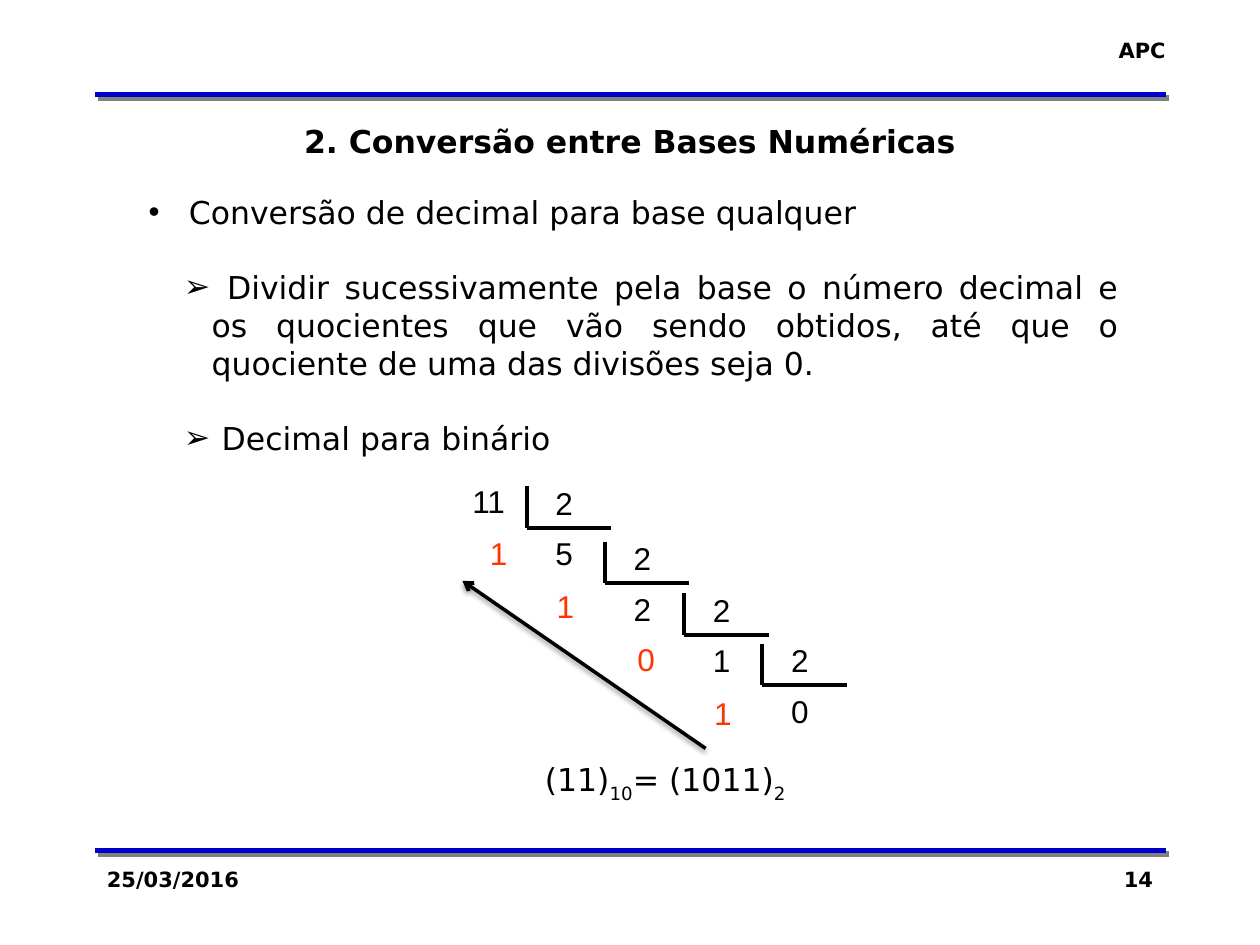
from dataclasses import dataclass
from typing import Optional

from lxml.etree import SubElement
from pptx import Presentation
from pptx.dml.color import RGBColor
from pptx.enum.shapes import MSO_CONNECTOR
from pptx.enum.text import MSO_ANCHOR, MSO_AUTO_SIZE, PP_ALIGN
from pptx.oxml.ns import qn
from pptx.util import Inches, Pt


@dataclass(frozen=True)
class Theme:
    text_font: str = "DejaVu Sans"
    number_font: str = "Arial"
    black: str = "000000"
    rule: str = "0000CC"
    rule_shadow: str = "808080"
    remainder: str = "FF3300"
    small: float = 12
    normal: float = 18


@dataclass(frozen=True)
class Shadow:
    color: str
    opacity: int
    blur: float
    distance: float
    angle: int


@dataclass(frozen=True)
class BodyItem:
    runs: tuple
    level: int
    space_before: float
    align: PP_ALIGN = PP_ALIGN.JUSTIFY
    bullet: Optional[str] = None
    margin: float = 0.5
    hanging: float = 0


@dataclass(frozen=True)
class Division:
    """One step: the bracket's corner, its quotient, and the remainder with its place."""
    x: float
    y: float
    quotient: str
    remainder: str
    remainder_x: float
    remainder_y: float


THEME = Theme()
RULE_SHADOW = Shadow(THEME.rule_shadow, 100, 0, 2.8, 45)
ARROW_SHADOW = Shadow(THEME.black, 38, 3.1, 1.6, 90)
DIVISOR = "2"
BRACKET_WIDTH, BRACKET_HEIGHT = 0.67, 0.33

BODY = (
    BodyItem(((" Conversão de decimal para base qualquer", False),), 0, 0,
             bullet="•", margin=0.24, hanging=0.24),
    BodyItem(((" Dividir sucessivamente pela base o número decimal e os quocientes que vão "
               "sendo obtidos, até que o quociente de uma das divisões seja 0.", False),), 1, 21.5,
             bullet="➢", hanging=0.22),
    BodyItem(((" Decimal para binário", False),), 1, 21.5, bullet="➢", hanging=0.22),
    BodyItem((("(11)", False), ("10", True), ("= (1011)", False), ("2", True)), 1, 173,
             align=PP_ALIGN.CENTER),
)

DIVISIONS = (
    Division(4.18, 4.19, "5", "1", 3.79, 4.19),
    Division(4.80, 4.63, "2", "1", 4.32, 4.61),
    Division(5.43, 5.04, "1", "0", 4.96, 5.03),
    Division(6.05, 5.44, "0", "1", 5.57, 5.46),
)


def add_run(paragraph, text: str, size: float, font_name: str = THEME.text_font,
            color: str = THEME.black, bold: bool = False):
    run = paragraph.add_run()
    run.text = text
    formats = {"size": Pt(size), "name": font_name, "bold": bold}
    for name, value in formats.items():
        setattr(run.font, name, value)
    run.font.color.rgb = RGBColor.from_string(color)
    return run


def place(shape, left: float, top: float, width: float, height: float) -> None:
    position = {"left": left, "top": top, "width": width, "height": height}
    for name, value in position.items():
        setattr(shape, name, Inches(value))


def format_frame(shape, wrap: bool = True):
    frame = shape.text_frame
    formats = {"word_wrap": wrap, "auto_size": MSO_AUTO_SIZE.NONE,
               "vertical_anchor": MSO_ANCHOR.TOP}
    for name, value in formats.items():
        setattr(frame, name, value)
    return frame


def add_label(slide, text: str, left: float, top: float, width: float, height: float,
              align: PP_ALIGN = PP_ALIGN.LEFT, wrap: bool = True, **font) -> None:
    box = slide.shapes.add_textbox(*map(Inches, (left, top, width, height)))
    paragraph = format_frame(box, wrap).paragraphs[0]
    paragraph.alignment = align
    add_run(paragraph, text, **font)


def add_number(slide, text: str, left: float, top: float, width: float = 0.34,
               color: str = THEME.black) -> None:
    add_label(slide, text, left, top, width, 0.4, wrap=False, size=THEME.normal,
              font_name=THEME.number_font, color=color)


def add_line(slide, start: tuple, end: tuple, color: str, width: float,
             shadow: Optional[Shadow] = None, arrow: bool = False) -> None:
    line = slide.shapes.add_connector(MSO_CONNECTOR.STRAIGHT, *map(Inches, start + end))
    line.line.color.rgb = RGBColor.from_string(color)
    line.line.width = Pt(width)
    properties = line._element.spPr
    if arrow:
        SubElement(properties.find(qn("a:ln")), qn("a:tailEnd"), type="arrow")
    effects = SubElement(properties, qn("a:effectLst"))
    if shadow:
        outer = SubElement(effects, qn("a:outerShdw"), blurRad=str(Pt(shadow.blur)),
                           dist=str(Pt(shadow.distance)), dir=str(shadow.angle * 60000),
                           algn="ctr", rotWithShape="0")
        tint = SubElement(outer, qn("a:srgbClr"), val=shadow.color)
        SubElement(tint, qn("a:alpha"), val=str(shadow.opacity * 1000))


def fill_body_paragraph(paragraph, item: BodyItem) -> None:
    formats = {"level": item.level, "alignment": item.align, "line_spacing": 1.0,
               "space_before": Pt(item.space_before), "space_after": Pt(0)}
    for name, value in formats.items():
        setattr(paragraph, name, value)
    properties = paragraph._p.get_or_add_pPr()
    properties.set("marL", str(Inches(item.margin)))
    properties.set("indent", str(Inches(-item.hanging)))
    if item.bullet:
        SubElement(properties, qn("a:buFont"), typeface=THEME.number_font)
        SubElement(properties, qn("a:buChar"), char=item.bullet)
    else:
        SubElement(properties, qn("a:buNone"))
    for text, subscript in item.runs:
        run = add_run(paragraph, text, THEME.normal)
        if subscript:
            run.font._element.set("baseline", "-30000")


def add_division(slide, step: Division) -> None:
    corner = (step.x, step.y)
    for end in ((step.x, step.y - BRACKET_HEIGHT), (step.x + BRACKET_WIDTH, step.y)):
        add_line(slide, corner, end, THEME.black, 2.25)
    add_number(slide, DIVISOR, step.x + 0.13, step.y - 0.4)
    add_number(slide, step.quotient, step.x + 0.13, step.y)
    add_number(slide, step.remainder, step.remainder_x, step.remainder_y,
               color=THEME.remainder)


def main() -> None:
    presentation = Presentation()
    presentation.slide_width, presentation.slide_height = Inches(10), Inches(7.5)
    slide = presentation.slides.add_slide(presentation.slide_layouts[1])
    title, body = slide.placeholders

    for y in (6.75, 0.75):
        add_line(slide, (0.75, y), (9.25, y), THEME.rule, 3, RULE_SHADOW)
    small_bold = {"size": THEME.small, "bold": True}
    add_label(slide, "APC", 8.77, 0.25, 0.58, 0.3, PP_ALIGN.RIGHT, False, **small_bold)
    add_label(slide, "25/03/2016", 0.75, 6.83, 2.08, 0.5, **small_bold)
    add_label(slide, "14", 7.17, 6.83, 2.08, 0.5, PP_ALIGN.RIGHT, **small_bold)

    place(title, 0.75, 0.92, 8.5, 1.01)
    heading = format_frame(title).paragraphs[0]
    heading.alignment = PP_ALIGN.CENTER
    add_run(heading, "2. Conversão entre Bases Numéricas", THEME.normal, bold=True)

    place(body, 1.08, 1.48, 7.9, 4.95)
    frame = format_frame(body)
    for index, item in enumerate(BODY):
        fill_body_paragraph(frame.add_paragraph() if index else frame.paragraphs[0], item)

    add_number(slide, "11", 3.65, 3.78, 0.46)
    for step in DIVISIONS:
        add_division(slide, step)
    add_line(slide, (5.6, 5.94), (3.67, 4.61), THEME.black, 2, ARROW_SHADOW, arrow=True)

    presentation.save("out.pptx")


if __name__ == "__main__":
    main()
